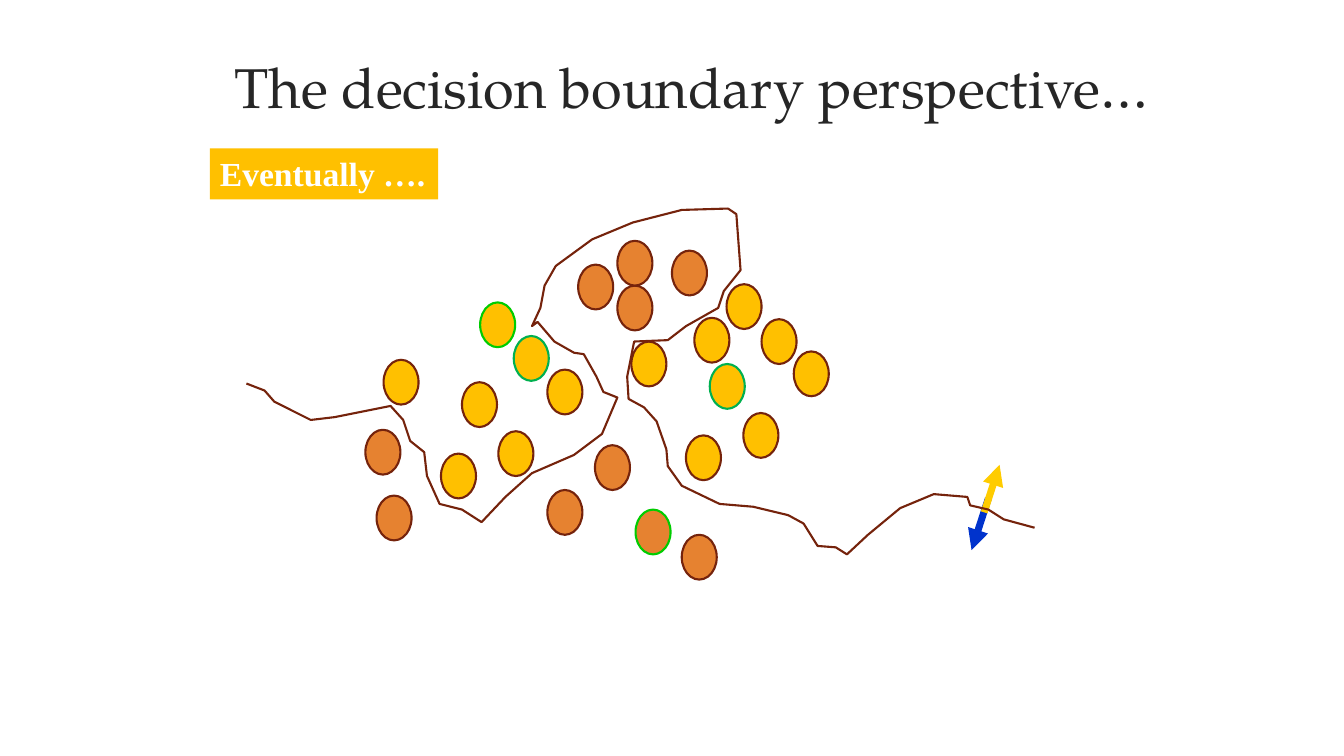
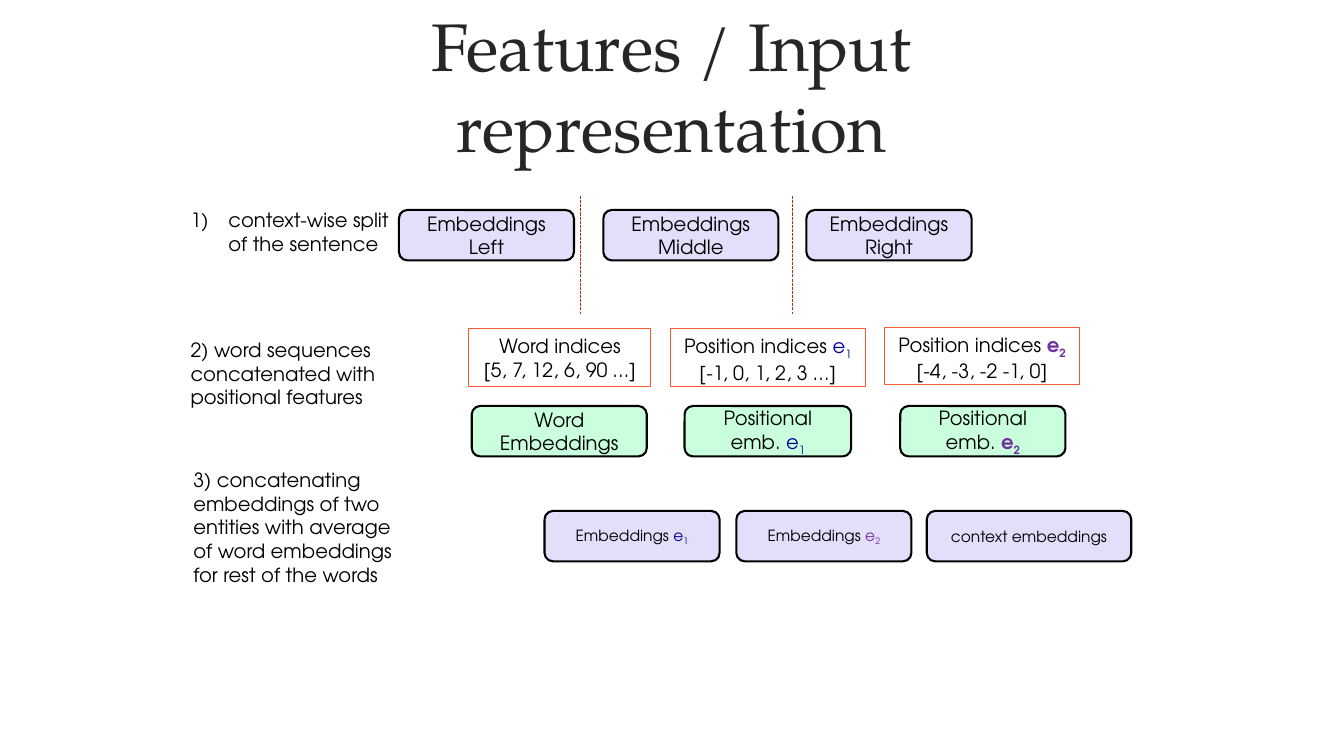
import lxml.etree
import pptx
import pptx.dml.color
import pptx.enum.dml
import pptx.enum.shapes
import pptx.enum.text
import pptx.oxml.ns
import pptx.util

Pt = pptx.util.Pt
qn = pptx.oxml.ns.qn
rgb = pptx.dml.color.RGBColor.from_string
SHAPE = pptx.enum.shapes.MSO_SHAPE
ALIGN = pptx.enum.text.PP_ALIGN
ANCHOR = pptx.enum.text.MSO_ANCHOR

BLACK, WHITE, TITLE_GREY = "000000", "FFFFFF", "262626"
GOLD, ORANGE, BROWN = "FFC000", "E68230", "75230C"
LIME, GREEN = "00CC00", "00B050"
LAVENDER, MINT, CORAL, RUST = "E3DFFB", "CAFFDD", "F45B33", "A63212"
NAVY, PURPLE = "000090", "7030A0"
SERIF, SANS = "TeX Gyre Pagella", "TeX Gyre Adventor"


def add_box(slide, kind, bounds, fill=None, line=None, weight=1.5):
    box = slide.shapes.add_shape(kind, *map(Pt, bounds))
    box.shadow.inherit = False
    for paint, color in ((box.fill, fill), (box.line.fill, line)):
        if color:
            paint.solid()
            paint.fore_color.rgb = rgb(color)
        else:
            paint.background()
    if line:
        box.line.width = Pt(weight)
    return box


def write(box, paragraphs, size, font=SANS, color=BLACK, bold=False,
          align=ALIGN.CENTER, anchor=ANCHOR.MIDDLE, wrap=True):
    """Fill a box; each paragraph is a list of (text, format overrides)."""
    frame = box.text_frame
    frame.word_wrap = wrap
    frame.vertical_anchor = anchor
    for index, spans in enumerate(paragraphs):
        para = frame.add_paragraph() if index else frame.paragraphs[0]
        para.alignment = align
        for text, overrides in spans:
            span = para.add_run()
            span.text = text
            values = {"name": font, "size": Pt(size), "bold": bold, "color": color}
            values.update(overrides)
            span.font.color.rgb = rgb(values.pop("color"))
            if "baseline" in values:
                span.font._element.set("baseline", values.pop("baseline"))
            for name, value in values.items():
                setattr(span.font, name, value)


deck = pptx.Presentation()
deck.slide_width, deck.slide_height = Pt(960), Pt(540)
boundary_slide, features_slide = [
    deck.slides.add_slide(deck.slide_layouts[6]) for _ in range(2)]

titles = [
    (boundary_slide, "The decision boundary perspective…", (148, 32, 692, 59), 40),
    (features_slide, "Features / Input representation", (163, 14, 633, 94), 48),
]
for slide, text, bounds, size in titles:
    box = slide.shapes.add_textbox(*map(Pt, bounds))
    write(box, [[(text, {})]], size, SERIF, TITLE_GREY)

# Lines: two arrows across the boundary, two dashed separators
lines = [
    (boundary_slide, (706, 356, 694, 393), "0033CC", 5, True),
    (boundary_slide, (703, 366, 714, 332), "FFCC00", 5, True),
    *[(features_slide, (x, 140, x, 224), RUST, 0.75, False) for x in (415, 566)],
]
for slide, ends, color, weight, arrow in lines:
    connector = slide.shapes.add_connector(
        pptx.enum.shapes.MSO_CONNECTOR.STRAIGHT, *map(Pt, ends))
    connector.line.color.rgb = rgb(color)
    connector.line.width = Pt(weight)
    if arrow:
        lxml.etree.SubElement(connector.line._ln, qn("a:tailEnd"), type="triangle")
    else:
        connector.line.dash_style = pptx.enum.dml.MSO_LINE.SQUARE_DOT
    lxml.etree.SubElement(connector._element.spPr, qn("a:effectLst"))

# Slide 1: data points of two classes and the boundary between them
dots = {
    (ORANGE, BROWN): [(487, 382), (413, 189), (269, 354), (261, 307), (480, 179),
                      (441, 204), (391, 350), (425, 318), (441, 172)],
    (ORANGE, LIME): [(454, 364)],
    (GOLD, LIME): [(343, 216)],
    (GOLD, GREEN): [(367, 240), (507, 260)],
    (GOLD, BROWN): [(330, 273), (356, 308), (391, 264), (315, 324), (274, 257),
                    (519, 203), (544, 228), (531, 295), (567, 251), (490, 311),
                    (451, 244), (496, 227)],
}
for (fill, line), corners in dots.items():
    for left, top in corners:
        add_box(boundary_slide, SHAPE.OVAL, (left, top, 25, 32), fill, line)

label = add_box(boundary_slide, SHAPE.RECTANGLE, (150, 106, 163, 36.5), GOLD)
write(label, [[("Eventually ….", {})]], 24, "Times New Roman", WHITE, True,
      ALIGN.LEFT, ANCHOR.TOP, False)

boundary_points = [
    (176, 274), (189, 279), (196, 287), (222, 300), (239, 298), (279, 290),
    (288, 300), (293, 315), (303, 323), (305, 340), (314, 360), (330, 364),
    (344, 373), (361, 355), (380, 338), (410, 325), (430, 310), (441, 284),
    (431, 280), (426, 269), (417, 253), (410, 252), (396, 244), (384, 230),
    (380, 233), (386, 220), (389, 204), (397, 190), (423, 171), (452, 159),
    (487, 150), (520, 149), (526, 153), (529, 193), (517, 208), (513, 220),
    (490, 233), (477, 243), (453, 244), (448, 269), (449, 285), (460, 291),
    (469, 301), (476, 321), (477, 333), (487, 347), (514, 360), (538, 362),
    (563, 368), (574, 374), (584, 390), (597, 391), (605, 396), (620, 382),
    (643, 363), (667, 353), (691, 355), (693, 361), (706, 364), (717, 371),
    (739, 377),
]
builder = boundary_slide.shapes.build_freeform(*boundary_points[0], scale=Pt(1))
builder.add_line_segments(boundary_points[1:], close=False)
boundary = builder.convert_to_shape()
boundary.shadow.inherit = False
boundary.fill.background()
boundary.line.color.rgb = rgb(BROWN)
boundary.line.width = Pt(1.5)

# Slide 2: three kinds of input representation
steps = [
    ((129, 145, 168, 41), "context-wise split of the sentence"),
    ((129, 238, 168, 58), "2) word sequences concatenated with positional features"),
    ((131, 331, 168, 92), "3) concatenating embeddings of two entities with average "
                          "of word embeddings for rest of the words"),
]
step_boxes = []
for bounds, text in steps:
    box = features_slide.shapes.add_textbox(*map(Pt, bounds))
    write(box, [[(text, {})]], 14, align=ALIGN.LEFT, anchor=ANCHOR.TOP)
    step_boxes.append(box)
numbering = step_boxes[0].text_frame.paragraphs[0]._p.get_or_add_pPr()
numbering.set("marL", str(Pt(27)))
numbering.set("indent", str(-Pt(27)))
lxml.etree.SubElement(numbering, qn("a:buFont"), typeface=SANS)
lxml.etree.SubElement(numbering, qn("a:buAutoNum"), type="arabicParenR")

first_entity, second_entity, second_entity_bold = [
    [("e", look), (digit, {**look, "baseline": "-25000"})]
    for digit, look in (("1", {"color": NAVY}), ("2", {"color": PURPLE}),
                        ("2", {"color": PURPLE, "bold": True}))]

index_boxes = [
    (335, 235, 130, [("Word indices", {})], "[5, 7, 12, 6, 90 …]"),
    (479, 235, 139, [("Position indices ", {}), *first_entity], "[-1, 0, 1, 2, 3 …]"),
    (632, 234, 139, [("Position indices ", {}), *second_entity_bold],
     "[-4, -3, -2 -1, 0]"),
]
for left, top, width, heading, values in index_boxes:
    box = add_box(features_slide, SHAPE.RECTANGLE, (left, top, width, 41),
                  line=CORAL, weight=0.75)
    write(box, [heading, [(values, {})]], 14, anchor=ANCHOR.TOP)

embedding_rows = [
    (150, LAVENDER, 14, [
        (285, 125, [("Embeddings Left", {})]),
        (431, 125, [("Embeddings Middle", {})]),
        (576, 118, [("Embeddings Right", {})])]),
    (290, MINT, 14, [
        (337, 125, [("Word Embeddings", {})]),
        (489, 119, [("Positional emb. ", {}), *first_entity]),
        (643, 118, [("Positional emb. ", {}), *second_entity_bold])]),
    (365, LAVENDER, 11, [
        (389, 125, [("Embeddings ", {}), *first_entity]),
        (526, 125, [("Embeddings ", {}), *second_entity]),
        (662, 146, [("context embeddings", {})])]),
]
for top, fill, size, boxes in embedding_rows:
    for left, width, spans in boxes:
        box = add_box(features_slide, SHAPE.ROUNDED_RECTANGLE,
                      (left, top, width, 36), fill, BLACK)
        write(box, [spans], size)

deck.save("out.pptx")
